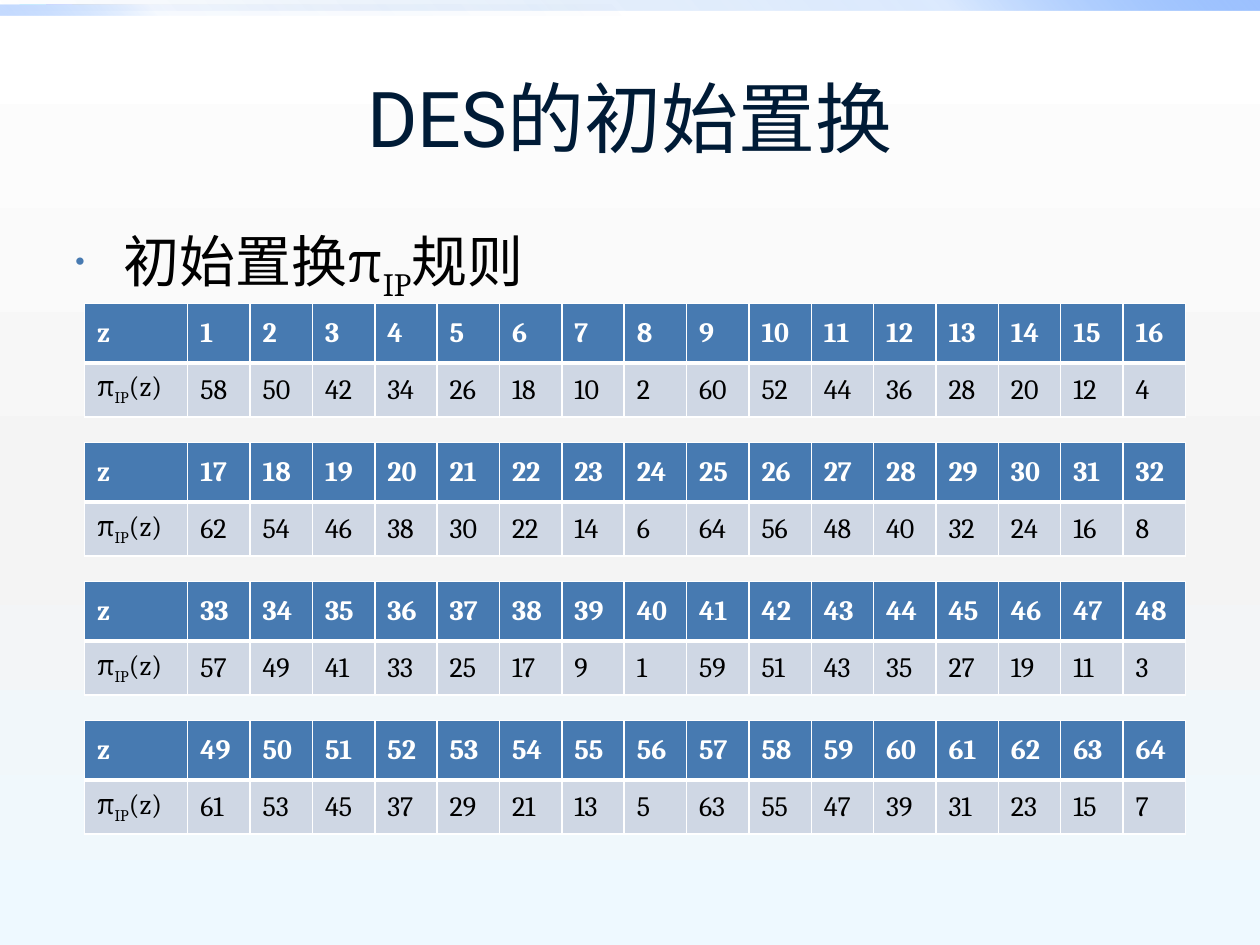
import dataclasses

import lxml.etree
import pptx
import pptx.dml.color
import pptx.enum.shapes
import pptx.enum.text
import pptx.oxml.ns
import pptx.util

COLUMNS, ROWS = 1000, 750
UNIT = pptx.util.Inches(10) / COLUMNS


@dataclasses.dataclass(frozen=True)
class Theme:
    """Colours, type sizes and fonts of the slide."""
    title_ink: str = "001B36"
    ink: str = "000000"
    accent: str = "477AB1"
    pale: str = "CFD7E4"
    white: str = "FFFFFF"
    title_font: str = "Roboto"
    text_font: str = "Cambria"
    title_size: int = 44
    rule_size: int = 32
    cell_size: int = 16
    thin: int = 1
    thick: int = 3
    backdrop: tuple = ((0, "FFFFFF", 100), (55, "F4F4F4", 100), (100, "EEF9FF", 100))
    long_band: tuple = ((0, "0058B7", 0), (75, "4F95FF", 20), (100, "9EC2FF", 100))
    short_band: tuple = ((0, "0058B7", 0), (75, "4F95FF", 5), (100, "9EC2FF", 60))


@dataclasses.dataclass(frozen=True)
class Box:
    """A region in columns and rows of the slide grid."""
    left: float
    top: float
    width: float
    height: float

    def emu(self):
        """Return the region as lengths for python-pptx."""
        return [grid(n) for n in (self.left, self.top, self.width, self.height)]


THEME = Theme()


def grid(count):
    """Turn a number of grid steps into a length."""
    return pptx.util.Emu(round(count * UNIT))


def add_element(parent, tag, **attributes):
    """Append a DrawingML element with the given attributes."""
    child = lxml.etree.SubElement(parent, pptx.oxml.ns.qn(tag))
    for key, value in attributes.items():
        child.set(key, str(value))
    return child


def set_gradient(fill, owner, stops, angle):
    """Give the owner of a fill a linear gradient with opacities."""
    fill.solid()
    solid = next(owner.iter(pptx.oxml.ns.qn("a:solidFill")))
    gradient = lxml.etree.Element(pptx.oxml.ns.qn("a:gradFill"), rotWithShape="1")
    stop_list = add_element(gradient, "a:gsLst")
    for position, colour, opacity in stops:
        stop = add_element(stop_list, "a:gs", pos=position * 1000)
        tint = add_element(stop, "a:srgbClr", val=colour)
        if opacity < 100:
            add_element(tint, "a:alpha", val=opacity * 1000)
    add_element(gradient, "a:lin", ang=angle * 60000, scaled=0)
    solid.getparent().replace(solid, gradient)


def add_runs(paragraph, runs, font, size, colour, bold=False):
    """Write runs of text, each with its baseline shift in percent."""
    for text, shift in runs:
        run = paragraph.add_run()
        run.text = text
        run.font.name = font
        run.font.size = pptx.util.Pt(size)
        run.font.bold = bold
        run.font.color.rgb = pptx.dml.color.RGBColor.from_string(colour)
        if shift:
            run.font._element.set("baseline", str(shift * 1000))


def add_band(slide, box, stops, angle):
    """Draw one gradient band along the top edge."""
    band = slide.shapes.add_shape(pptx.enum.shapes.MSO_SHAPE.RECTANGLE, *box.emu())
    band.shadow.inherit = False
    band.line.fill.background()
    set_gradient(band.fill, band.element, stops, angle)


def add_title(slide, box, text):
    """Place the centred title."""
    frame = slide.shapes.add_textbox(*box.emu()).text_frame
    frame.word_wrap = True
    frame.vertical_anchor = pptx.enum.text.MSO_ANCHOR.MIDDLE
    heading = frame.paragraphs[0]
    heading.alignment = pptx.enum.text.PP_ALIGN.CENTER
    add_runs(heading, [(text, 0)], THEME.title_font, THEME.title_size, THEME.title_ink)


def add_rule(slide, box, runs):
    """Place the bulleted line that introduces the tables."""
    frame = slide.shapes.add_textbox(*box.emu()).text_frame
    frame.word_wrap = True
    rule = frame.paragraphs[0]
    layout = rule._p.get_or_add_pPr()
    layout.set("marL", str(grid(38)))
    layout.set("indent", str(grid(-38)))
    add_element(add_element(layout, "a:buClr"), "a:srgbClr", val=THEME.accent)
    add_element(layout, "a:buSzPct", val=50000)
    add_element(layout, "a:buChar", char="•")
    add_runs(rule, runs, THEME.text_font, THEME.rule_size, THEME.ink)


def set_borders(cell, top, bottom):
    """Rule a cell in white, with its own top and bottom weights."""
    properties = cell._tc.get_or_add_tcPr()
    weights = {"a:lnL": THEME.thin, "a:lnR": THEME.thin, "a:lnT": top, "a:lnB": bottom}
    for place, (tag, weight) in enumerate(weights.items()):
        line = add_element(properties, tag, w=pptx.util.Pt(weight))
        add_element(add_element(line, "a:solidFill"), "a:srgbClr", val=THEME.white)
        properties.insert(place, line)


def add_permutation_table(slide, box, positions):
    """Tabulate the permuted value of each position."""
    label_width, header_height = 82, 47
    table = slide.shapes.add_table(2, len(positions) + 1, *box.emu()).table
    table.horz_banding = False
    for number, column in enumerate(table.columns):
        share = (box.width - label_width) / len(positions)
        column.width = grid(share if number else label_width)
    table.rows[0].height = grid(header_height)
    table.rows[1].height = grid(box.height - header_height)

    header = [[("z", 0)]] + [[(str(z), 0)] for z in positions]
    values = [[("π", 0), ("IP", -25), ("(z)", 0)]]
    values += [[(str(initial_permutation(z)), 0)] for z in positions]
    styles = (
        (header, THEME.accent, THEME.white, True, THEME.thin, THEME.thick),
        (values, THEME.pale, THEME.ink, False, THEME.thick, THEME.thin),
    )
    for row, (entries, fill, ink, bold, top, bottom) in enumerate(styles):
        for column, runs in enumerate(entries):
            cell = table.cell(row, column)
            cell.vertical_anchor = pptx.enum.text.MSO_ANCHOR.MIDDLE
            cell.fill.solid()
            cell.fill.fore_color.rgb = pptx.dml.color.RGBColor.from_string(fill)
            set_borders(cell, top, bottom)
            add_runs(cell.text_frame.paragraphs[0], runs, THEME.text_font,
                     THEME.cell_size, ink, bold)


def initial_permutation(z):
    """Return the DES initial permutation of position z."""
    row, column = divmod(z - 1, 8)
    half, step = divmod(row, 4)
    return 58 - half + 2 * step - 8 * column


def add_tables(slide, box, count=4, length=16, height=90):
    """Stack the permutation tables at equal gaps."""
    pitch = (box.height - height) / (count - 1)
    for index in range(count):
        first = index * length + 1
        place = Box(box.left, box.top + index * pitch, box.width, height)
        add_permutation_table(slide, place, range(first, first + length))


def main():
    """Build the slide and save it."""
    deck = pptx.Presentation()
    deck.slide_width, deck.slide_height = grid(COLUMNS), grid(ROWS)
    slide = deck.slides.add_slide(deck.slide_layouts[6])
    set_gradient(slide.background.fill, slide.element, THEME.backdrop, 90)
    add_band(slide, Box(0, 0, COLUMNS, 8), THEME.long_band, 315)
    add_band(slide, Box(0, 4, COLUMNS / 2, 8), THEME.short_band, 135)
    add_title(slide, Box(50, 30, 900, 125), "DES的初始置换")
    add_rule(slide, Box(50, 175, 900, 495), [("初始置换π", 0), ("IP", -25), ("规则", 0)])
    add_tables(slide, Box(67, 241, 874, 421))
    deck.save("out.pptx")


if __name__ == "__main__":
    main()
